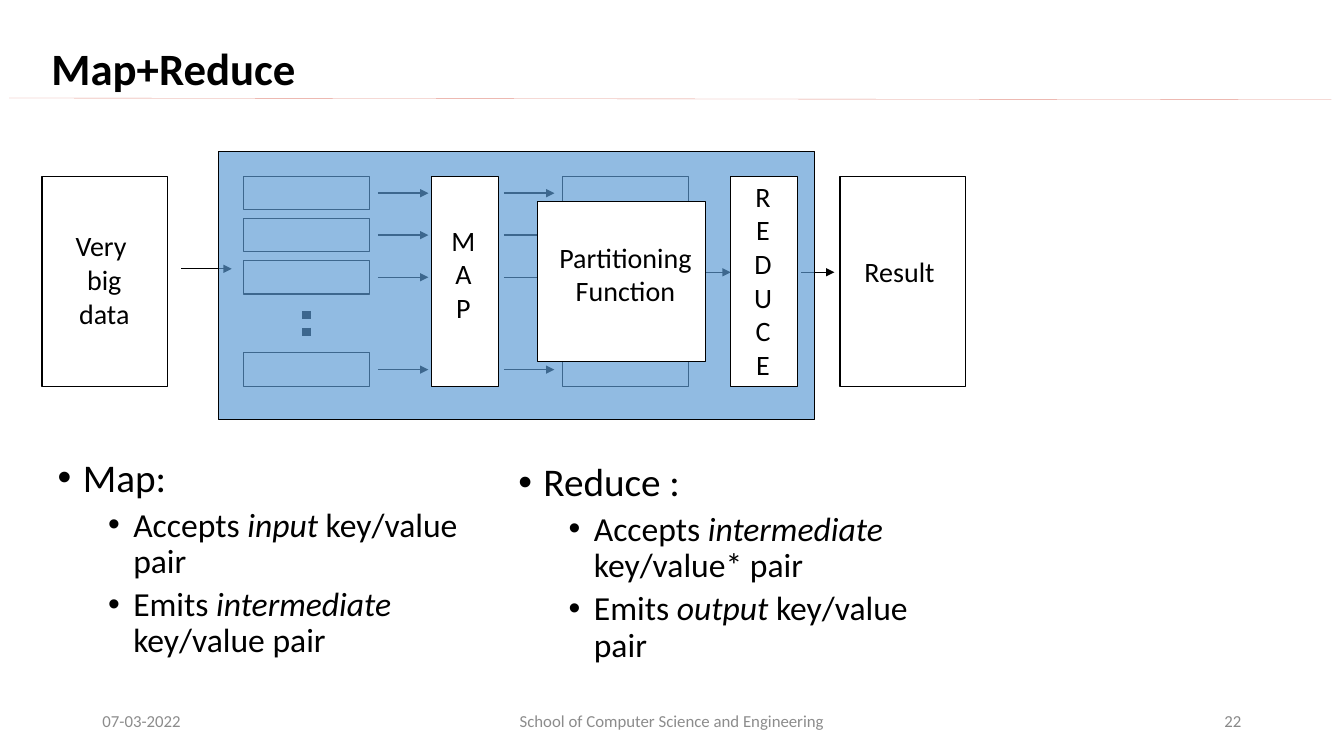
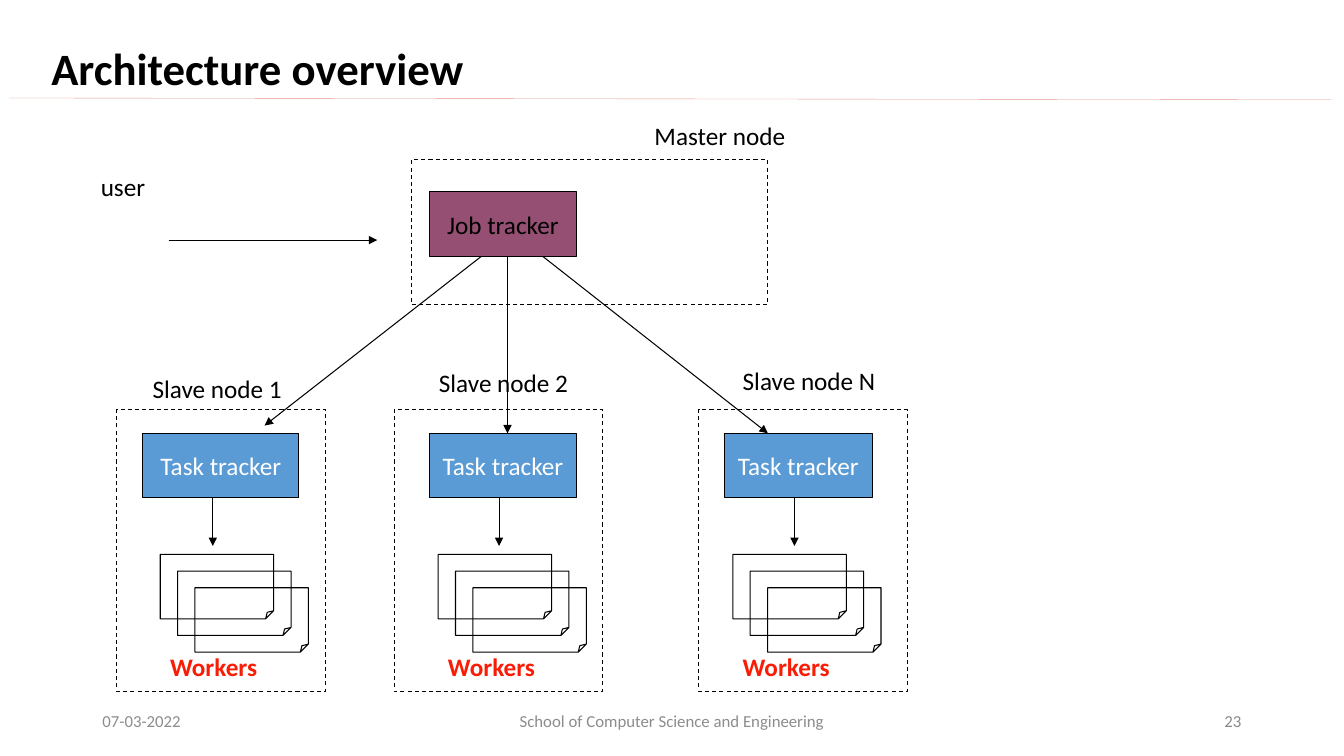
from copy import deepcopy

from lxml.etree import SubElement
from pptx import Presentation
from pptx.dml.color import RGBColor
from pptx.enum.dml import MSO_LINE
from pptx.enum.shapes import MSO_CONNECTOR, MSO_SHAPE
from pptx.enum.text import MSO_ANCHOR, MSO_AUTO_SIZE, PP_ALIGN
from pptx.oxml.ns import qn
from pptx.util import Pt

# Shared style
FONT = "Calibri"
BLACK, WHITE = "000000", "FFFFFF"
BLUE, PLUM, RED = "5B9BD5", "954F72", "FA1D06"
FOOTER_GREY, NUMBER_GREY, RULE_COLOR = "8C8C8C", "898989", "E4948A"
FIRST_NUMBER = 22
TWO_CONTENT, TITLE_ONLY = 3, 5
FOOTERS = {  # placeholder index: left, width, text, alignment, colour
    10: (66, 216, "07-03-2022", PP_ALIGN.LEFT, FOOTER_GREY),
    11: (318, 324, "School of Computer Science and Engineering",
         PP_ALIGN.CENTER, FOOTER_GREY),
    12: (678, 216, "", PP_ALIGN.RIGHT, NUMBER_GREY),
}


def rgb(color):
    return RGBColor.from_string(color)


def place(shape, left, top, width, height):
    shape.left, shape.top = Pt(left), Pt(top)
    shape.width, shape.height = Pt(width), Pt(height)


def style_run(span, size, color=BLACK, bold=False, italic=False):
    font = span.font
    font.name, font.size = FONT, Pt(size)
    font.bold, font.italic = bold, italic
    font.color.rgb = rgb(color)


def fill_text(shape, text, size, color=BLACK, align=PP_ALIGN.LEFT, bold=False):
    frame = shape.text_frame
    frame.text = text
    frame.word_wrap = True
    frame.auto_size = MSO_AUTO_SIZE.NONE
    frame.vertical_anchor = MSO_ANCHOR.MIDDLE
    for para in frame.paragraphs:
        para.alignment = align
        for span in para.runs:
            style_run(span, size, color, bold)


def clear_margins(shape):
    frame = shape.text_frame
    frame.margin_left = frame.margin_right = 0
    frame.margin_top = frame.margin_bottom = 0


def add_label(page, text, left, top, width, height, size=18, color=BLACK,
              align=PP_ALIGN.LEFT, bold=False):
    label = page.shapes.add_textbox(Pt(left), Pt(top), Pt(width), Pt(height))
    clear_margins(label)
    fill_text(label, text, size, color, align, bold)


def add_box(page, left, top, width, height, fill=None, text="",
            text_color=BLACK, dashed=False, kind=MSO_SHAPE.RECTANGLE):
    box = page.shapes.add_shape(kind, Pt(left), Pt(top), Pt(width), Pt(height))
    box.shadow.inherit = False
    if fill:
        box.fill.solid()
        box.fill.fore_color.rgb = rgb(fill)
    else:
        box.fill.background()
    box.line.color.rgb = rgb(BLACK)
    box.line.width = Pt(0.75)
    if dashed:
        box.line.dash_style = MSO_LINE.DASH
    if text:
        clear_margins(box)
        fill_text(box, text, 18, text_color, PP_ALIGN.CENTER)
    return box


def add_sheet(page, left, top):
    sheet = add_box(page, left, top, 81, 46, kind=MSO_SHAPE.FOLDED_CORNER)
    guides = sheet._element.spPr.find(qn("a:prstGeom")).get_or_add_avLst()
    SubElement(guides, qn("a:gd"), name="adj", fmla="val 12500")


def add_line(page, start, end, width=1, color=BLACK, dash=None, arrow=True):
    line = page.shapes.add_connector(
        MSO_CONNECTOR.STRAIGHT, Pt(start[0]), Pt(start[1]), Pt(end[0]), Pt(end[1]))
    line.line.color.rgb = rgb(color)
    line.line.width = Pt(width)
    if dash:
        line.line.dash_style = dash
    properties = line._element.spPr
    if arrow:
        SubElement(properties.find(qn("a:ln")), qn("a:tailEnd"), type="triangle")
    SubElement(properties, qn("a:effectLst"))


def add_slide_number(shape, number, color):
    span = shape.text_frame.paragraphs[0].add_run()
    span.text = str(number)
    style_run(span, 12, color)
    field = span._r
    field.tag = qn("a:fld")
    field.set("id", "{B6F15528-21DE-4FAA-801E-634DDDAF4B2B}")
    field.set("type", "slidenum")


def add_page(deck, layout_index, title):
    layout = deck.slide_layouts[layout_index]
    page = deck.slides.add_slide(layout)
    heading = page.shapes.title
    place(heading, 29.5, 15, 828, 72)
    fill_text(heading, title, 32, bold=True)
    heading.text_frame.paragraphs[0].line_spacing = 0.9

    # Footers, then the rule below the title
    for source in layout.placeholders:
        index = source.placeholder_format.idx
        if index not in FOOTERS:
            continue
        left, width, text, align, color = FOOTERS[index]
        page.shapes.element.append(deepcopy(source.element))
        footer = page.shapes[-1]
        place(footer, left, 500.5, width, 28.75)
        fill_text(footer, text, 12, color, align)
        if not text:
            add_slide_number(footer, FIRST_NUMBER + len(deck.slides) - 1, color)
    add_line(page, (6.5, 70), (951, 71.3), 0.25, RULE_COLOR, arrow=False)
    return page


def fill_list(body, left, top, items):
    """Each item is a level and its spans; every second span is italic."""
    place(body, left, top, 317.5, 160)
    frame = body.text_frame
    frame.auto_size = MSO_AUTO_SIZE.NONE
    for number, (level, texts) in enumerate(items):
        para = frame.add_paragraph() if number else frame.paragraphs[0]
        para.level = level
        para.line_spacing = 0.9
        para.space_before = Pt(5 if level else 10)
        properties = para._p.get_or_add_pPr()
        properties.set("marL", str(Pt(54 if level else 18)))
        properties.set("indent", str(Pt(-18)))
        SubElement(properties, qn("a:buFont"), typeface="Arial")
        SubElement(properties, qn("a:buChar"), char="•")
        for position, text in enumerate(texts):
            span = para.add_run()
            span.text = text
            style_run(span, 24 if level else 28, italic=position % 2 == 1)


def build_map_reduce(deck):
    page = add_page(deck, TWO_CONTENT, "Map+Reduce")
    rows = (126, 156, 186, 252)

    # Data flow, seen through the translucent panel
    add_box(page, 30, 126, 90, 150, WHITE)
    add_box(page, 600, 126, 90, 150, WHITE)
    for row in rows:
        add_box(page, 174, row, 90, 24, WHITE)
        for left in (270, 360):
            add_line(page, (left, row + 12), (left + 36, row + 12))
    for row in (rows[0], rows[-1]):
        add_box(page, 402, row, 90, 24, WHITE)
    add_line(page, (219, 222), (219, 240), 6, dash=MSO_LINE.ROUND_DOT, arrow=False)
    for left, right, y in ((129.5, 165.5, 192), (498, 522, 194.5), (572.5, 596, 194.5)):
        add_line(page, (left, y), (right, y))
    panel = add_box(page, 156, 108, 426, 192, BLUE)
    fill_color = panel._element.spPr.find(qn("a:solidFill"))[0]
    SubElement(fill_color, qn("a:alpha"), val="67000")

    # Stages and their names
    for left in (308, 522):
        add_box(page, left, 126, 48, 150, WHITE)
    add_box(page, 384, 144, 120, 114, WHITE)
    for text, left, top, width, height in (
            ("Very \nbig\ndata", 44, 160, 61, 79),
            ("Result", 607, 178.5, 71, 31),
            ("\n".join("MAP"), 315.5, 156, 31, 79),
            ("\n".join("REDUCE"), 530.5, 124.5, 29, 151),
            ("Partitioning\nFunction", 389.5, 168, 114.5, 55)):
        add_label(page, text, left, top, width, height, 20, align=PP_ALIGN.CENTER)

    # What each stage takes and gives
    fill_list(page.placeholders[1], 34, 324, (
        (0, ("Map:",)),
        (1, ("Accepts ", "input", " key/value pair")),
        (1, ("Emits ", "intermediate", " key/value pair"))))
    fill_list(page.placeholders[2], 363, 327, (
        (0, ("Reduce :",)),
        (1, ("Accepts ", "intermediate", " key/value* pair")),
        (1, ("Emits ", "output", " key/value pair"))))


def add_slave_node(page, name, left, name_at, tracker_left, tracker_width,
                   arrow_x, workers_left):
    add_box(page, left, 292.5, 149, 201.5, dashed=True)
    add_label(page, name, *name_at, 115, 28)
    add_box(page, tracker_left, 309.5, tracker_width, 46, BLUE, "Task tracker", WHITE)
    add_line(page, (arrow_x, 355.5), (arrow_x, 390), 0.75)
    for step in range(3):
        add_sheet(page, workers_left + 12.4 * step, 396 + 11.9 * step)
    add_label(page, "Workers", workers_left + 7, 462, 80, 28, color=RED, bold=True)


def build_architecture(deck):
    page = add_page(deck, TITLE_ONLY, "Architecture overview")

    # User and master node
    add_label(page, "user", 72, 119.5, 45, 28)
    add_line(page, (120.5, 171.5), (269.5, 171.5), 0.75)
    add_label(page, "Master node", 467.5, 82.5, 110, 28)
    add_box(page, 306.5, 137, 105.5, 46, PLUM, "Job tracker")
    add_box(page, 294, 114, 254, 103.5, dashed=True)

    # Slave nodes and the links to them
    for node in (
            ("Slave node 1", 83.5, (109, 263.5), 102, 111.5, 152, 114.5),
            ("Slave node 2", 281.5, (313.5, 259), 306.5, 105.5, 356.5, 313),
            ("Slave node N", 499, (530.5, 258), 517.5, 105.5, 567.5, 523.5)):
        add_slave_node(page, *node)
    for start_x, end in ((344, (189, 304)), (362.5, (362.5, 309.5)), (387.5, (548.5, 309.5))):
        add_line(page, (start_x, 183), end, 0.75)


def main():
    deck = Presentation()
    deck.slide_width, deck.slide_height = Pt(960), Pt(540)
    deck.element.set("firstSlideNum", str(FIRST_NUMBER))
    build_map_reduce(deck)
    build_architecture(deck)
    deck.save("out.pptx")


if __name__ == "__main__":
    main()
